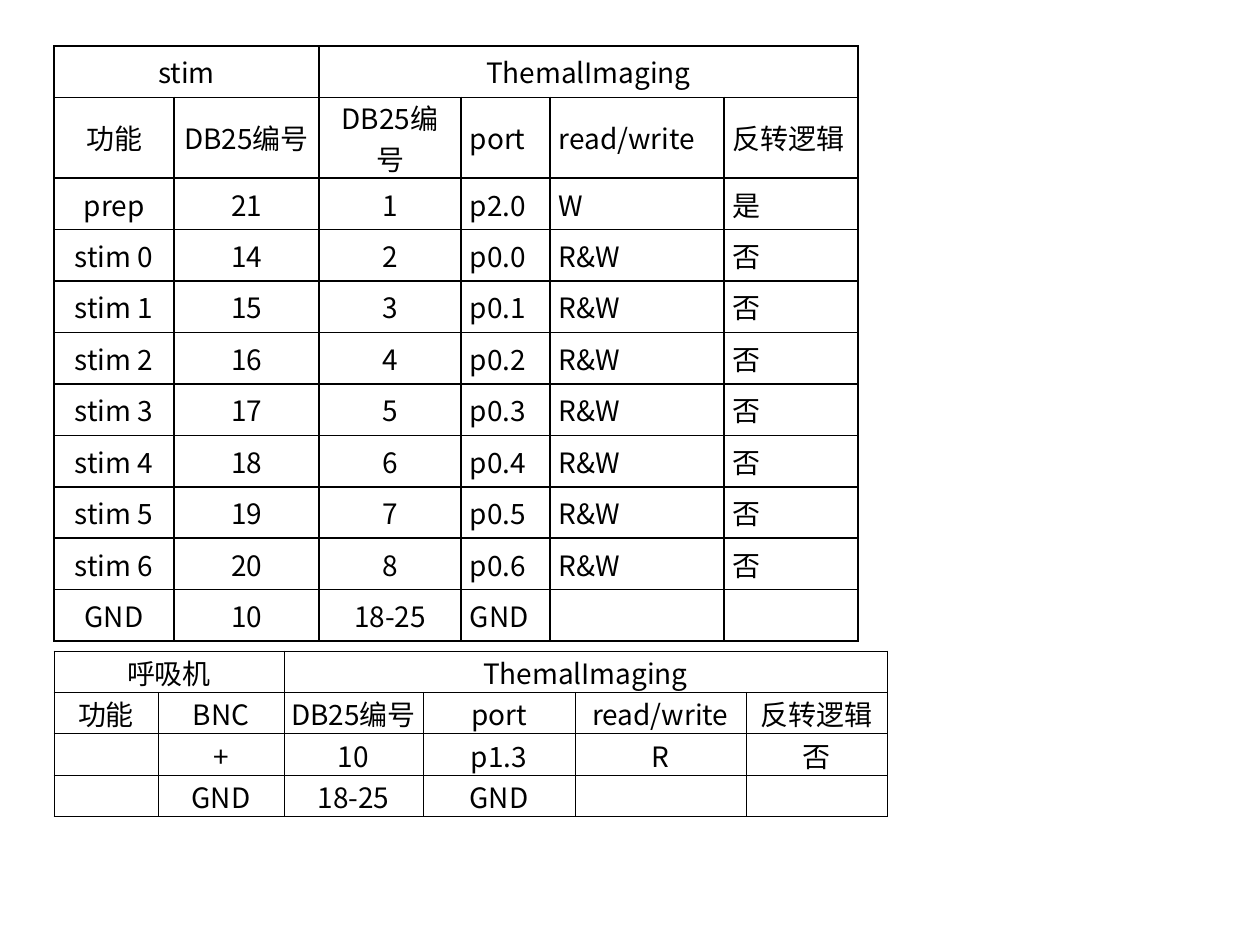
"""Build a slide with two pin assignment tables."""
from itertools import groupby

from lxml import etree
from pptx import Presentation
from pptx import util as u
from pptx.dml.color import RGBColor
from pptx.enum import text
from pptx.oxml.ns import qn

SCALE = 914400 // 126
THEME = {"ink": "000000", "size": 16, "latin": "Noto Sans CJK SC", "cjk": "Calibri", "east": "Noto Sans CJK SC"}

STIMULI = [(f"stim {i}", str(14 + i), str(2 + i), f"p0.{i}", "R&W", "否") for i in range(7)]
TABLES = [
    {
        "box": (54, 46, 804, 566),
        "columns": (120, 145, 142, 89, 174, 134),
        "row_height": 51.45,
        "margins": (9, 0, 9, 0),
        "border": 1,
        "centred": 3,
        "split_fonts": True,
        "rows": [
            ("stim", "", "ThemalImaging", "", "", ""),
            ("功能", "DB25编号", "DB25编号", "port", "read/write", "反转逻辑"),
            ("prep", "21", "1", "p2.0", "W", "是"),
            *STIMULI,
            ("GND", "10", "18-25", "GND", "", ""),
        ],
    },
    {
        "box": (54, 651, 833, 140),
        "columns": (104, 126, 139, 152, 171, 141),
        "row_height": 24,
        "margins": (1, 1, 1, 0),
        "border": 0.5,
        "centred": 6,
        "split_fonts": False,
        "rows": [
            ("呼吸机", "", "ThemalImaging", "", "", ""),
            ("功能", "BNC", "DB25编号", "port", "read/write", "反转逻辑"),
            ("", "+", "10", "p1.3", "R", "否"),
            ("", "GND", "18-25", "GND", "", ""),
        ],
    },
]


def px(value):
    return u.Emu(round(value * SCALE))


def is_cjk(character):
    return ord(character) > 0x2E80


def set_borders(cell, width):
    properties = cell._tc.get_or_add_tcPr()
    for position, side in enumerate(("lnL", "lnR", "lnT", "lnB")):
        line = etree.Element(qn(f"a:{side}"), w=str(u.Pt(width)))
        fill = etree.SubElement(line, qn("a:solidFill"))
        etree.SubElement(fill, qn("a:srgbClr"), val=THEME["ink"])
        properties.insert(position, line)


def write(cell, words, centred, split_fonts):
    paragraph = cell.text_frame.paragraphs[0]
    paragraph.alignment = text.PP_ALIGN.CENTER if centred else text.PP_ALIGN.LEFT
    pieces = groupby(words, key=lambda character: split_fonts and is_cjk(character))
    for cjk, characters in pieces:
        run = paragraph.add_run()
        run.text = "".join(characters)
        run.font.size = u.Pt(THEME["size"])
        run.font.color.rgb = RGBColor.from_string(THEME["ink"])
        run.font.name = THEME["cjk" if cjk else "latin"]
        east = etree.Element(qn("a:ea"), typeface=THEME["east"])
        run._r.rPr.find(qn("a:latin")).addnext(east)


def add_pin_table(slide, design):
    rows, columns = design["rows"], design["columns"]
    box = [px(value) for value in design["box"]]
    frame = slide.shapes.add_table(len(rows), len(columns), *box)
    table = frame.table
    table.first_row = table.horz_banding = False
    for column, width in zip(table.columns, columns):
        column.width = px(width)
    for row, values in zip(table.rows, rows):
        row.height = px(design["row_height"])
        for index, (cell, words) in enumerate(zip(row.cells, values)):
            cell.fill.background()
            cell.vertical_anchor = text.MSO_ANCHOR.MIDDLE
            (cell.margin_left, cell.margin_top,
             cell.margin_right, cell.margin_bottom) = map(px, design["margins"])
            set_borders(cell, design["border"])
            centred = index < design["centred"] or values is rows[0]
            write(cell, words, centred, design["split_fonts"])
    for first, last in ((0, 1), (2, 5)):
        table.cell(0, first).merge(table.cell(0, last))
    frame.height = box[3]


presentation = Presentation()
presentation.slide_width, presentation.slide_height = px(1260), px(945)
slide = presentation.slides.add_slide(presentation.slide_layouts[6])
for design in TABLES:
    add_pin_table(slide, design)
presentation.save("out.pptx")
